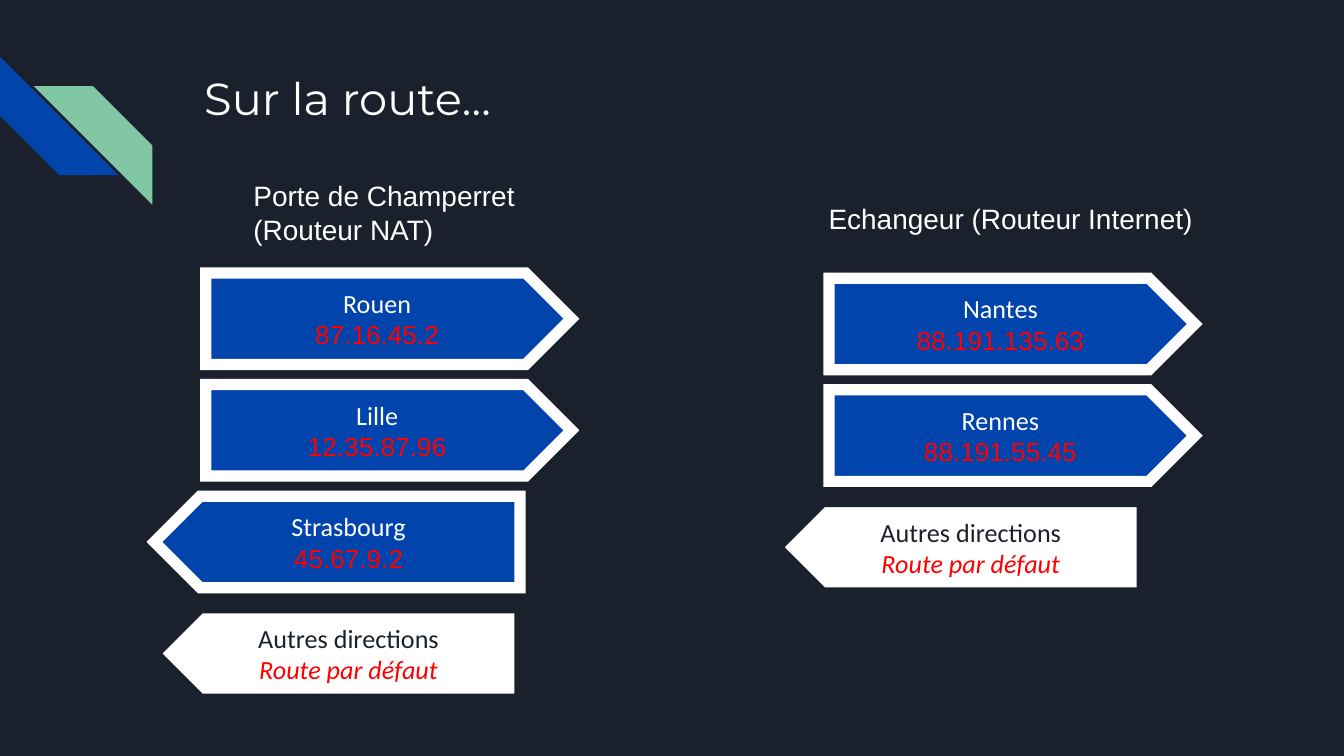
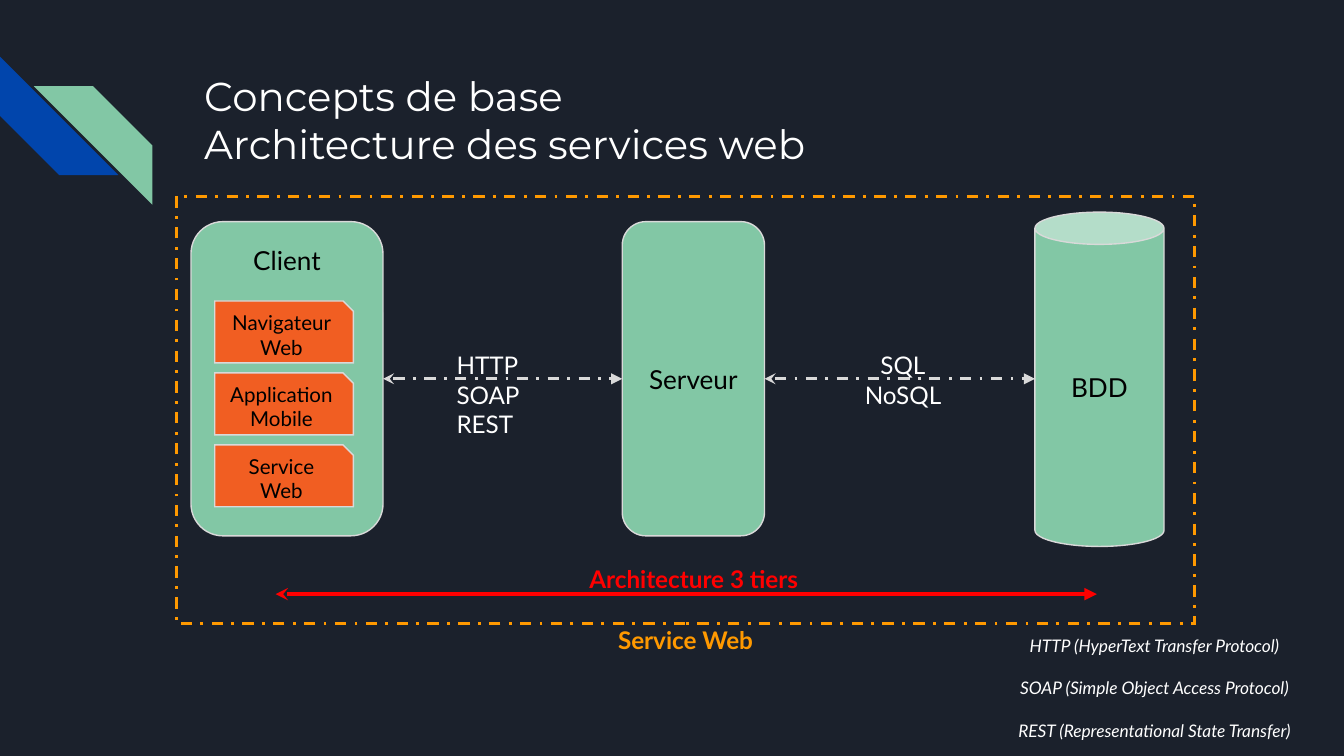
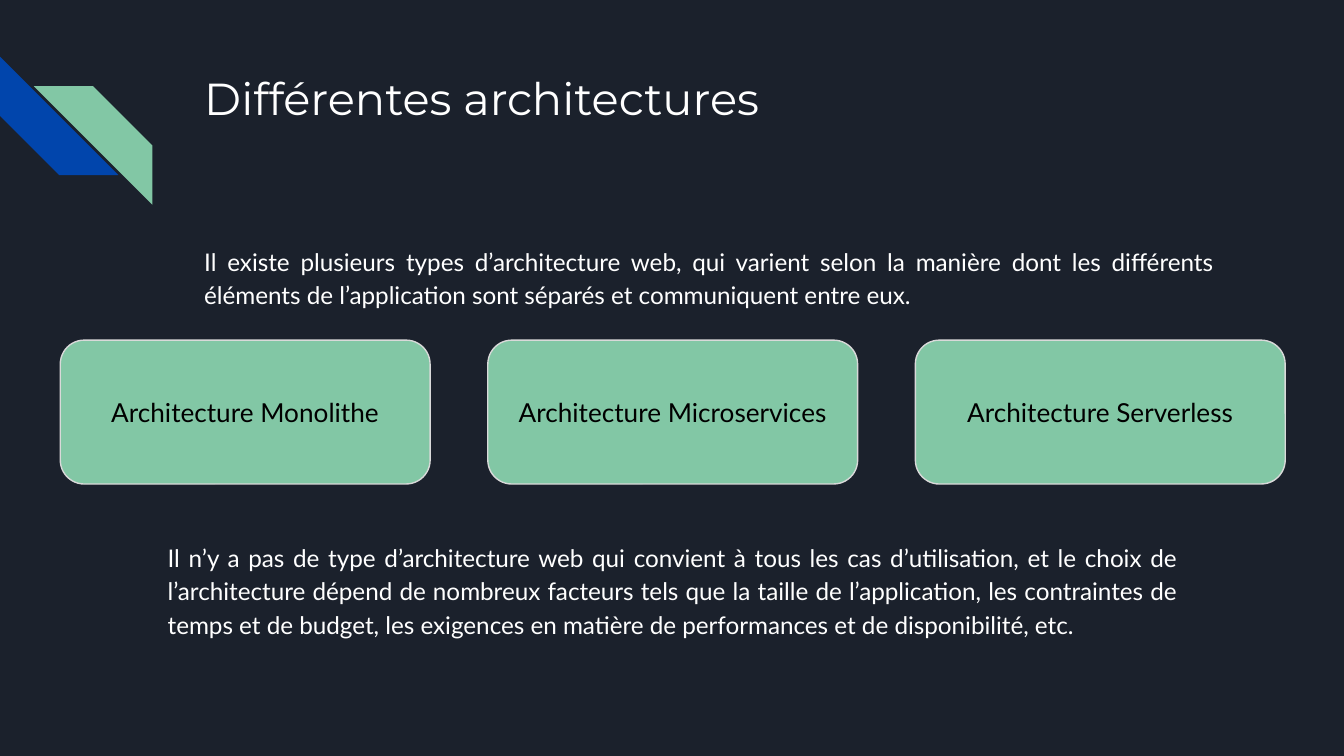
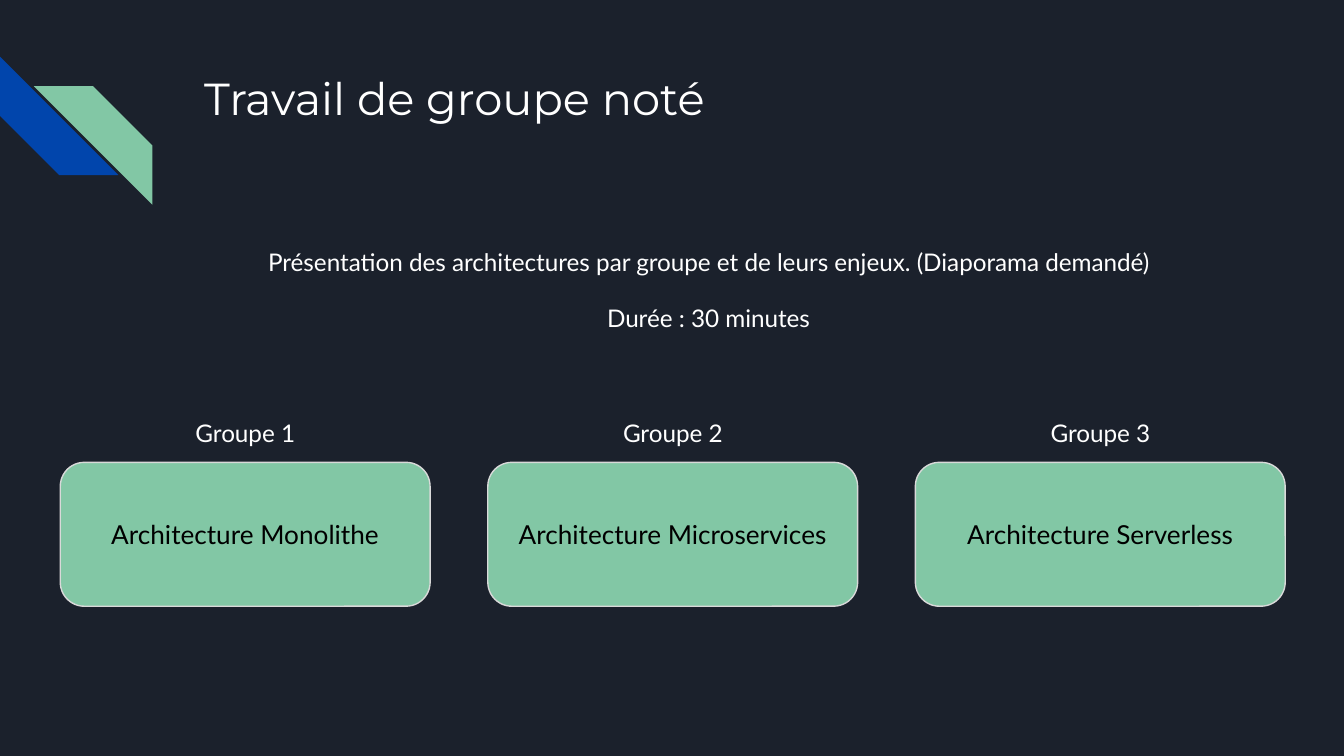
"""Build four slides on web routing and web architecture."""
from dataclasses import dataclass, field
from typing import Any, NamedTuple

from lxml import etree
from pptx import Presentation
from pptx.dml.color import RGBColor
from pptx.enum.dml import MSO_LINE
from pptx.enum.shapes import MSO_CONNECTOR, MSO_SHAPE
from pptx.enum.text import MSO_ANCHOR, MSO_AUTO_SIZE, PP_ALIGN
from pptx.oxml.ns import qn
from pptx.util import Cm, Pt

STRIPE, PLATE = MSO_SHAPE.DIAGONAL_STRIPE, MSO_SHAPE.PENTAGON
ROUND, SNIP = MSO_SHAPE.ROUNDED_RECTANGLE, MSO_SHAPE.SNIP_1_RECTANGLE
RECT, CAN = MSO_SHAPE.RECTANGLE, MSO_SHAPE.CAN
STRAIGHT, DASH = MSO_CONNECTOR.STRAIGHT, MSO_LINE.DASH_DOT
TOP, MIDDLE = MSO_ANCHOR.TOP, MSO_ANCHOR.MIDDLE
LEFT, CENTER, FULL = PP_ALIGN.LEFT, PP_ALIGN.CENTER, PP_ALIGN.JUSTIFY
FIXED = MSO_AUTO_SIZE.NONE

HUES = {
    "night": "1B212C", "white": "FFFFFF", "black": "000000", "blue": "0145AC",
    "green": "82C7A5", "coral": "F15E22", "amber": "FF9900", "red": "FF0000",
    "grey": "D9D9D9",
}

HEAD = {"name": "Montserrat", "size": Pt(24)}
SMALL_HEAD = {"name": "Montserrat", "size": Pt(21.6)}
LABEL = {"name": "Lato", "size": Pt(14)}
PART = {"name": "Lato", "size": Pt(11)}
PLAIN = {"name": "Lato", "size": Pt(13)}
STRONG = {**PLAIN, "bold": True}
NOTE = {"name": "Lato", "size": Pt(9.3), "italic": True}
TOWN = {"name": "Calibri", "size": Pt(14)}
ROUTE = {**TOWN, "italic": True}
HOST = {"name": "Arial", "size": Pt(14)}
PLACE = {"name": "Arial", "size": Pt(15)}

MID = {"alignment": CENTER}
FLUSH = {"alignment": LEFT}
LOOSE = {"line_spacing": 1.15}
BLOCK = {**LOOSE, "alignment": FULL}

WIDE = {"margin_left": Cm(0.25), "margin_right": Cm(0.25),
        "margin_top": Cm(0.25), "margin_bottom": Cm(0.25)}
TIGHT = {"margin_left": Cm(0.19), "margin_right": Cm(0.19),
         "margin_top": Cm(0.1), "margin_bottom": Cm(0.1)}

KINDS = ["Monolithe", "Microservices", "Serverless"]
CARD_LEFT, CARD_STEP, CARD_WIDE, CARD_HIGH = 1.14, 8.08, 6.99, 2.72
SIGN_STEP, SIGN_WIDE, SIGN_HIGH = 2.11, 6.91, 1.73


class Box(NamedTuple):
    """Place and size in centimetres."""
    left: float
    top: float
    width: float
    height: float


class Row(NamedTuple):
    """One paragraph with its font, colour and layout."""
    words: str
    font: dict
    ink: str = "white"
    para: dict = MID


class Edge(NamedTuple):
    """An outline or line style."""
    ink: str
    width: float
    dash: Any = None


@dataclass(frozen=True)
class Form:
    """A preset shape with its look and text."""
    kind: Any
    box: Box
    fill: str | None = None
    edge: Edge | None = None
    rows: list[Row] = field(default_factory=list)
    anchor: Any = MIDDLE
    pads: dict = field(default_factory=lambda: WIDE)
    flip: bool = False
    turn: float = 0


class Sign(NamedTuple):
    """A road sign: a town and its address, or the default way."""
    town: str
    host: str | None = None
    back: bool = False


THIN = Edge("grey", 0.75)
BODY = Box(3.61, 4.34, 19.56, 2.54)


def hue(name: str) -> RGBColor:
    """Return a named colour."""
    return RGBColor.from_string(HUES[name])


def apply(item: Any, vals: dict) -> None:
    """Set each attribute in vals on item."""
    for name, val in vals.items():
        setattr(item, name, val)


def write(frame: Any, rows: list[Row], pads: dict, anchor: Any = TOP) -> None:
    """Fill a text frame with rows."""
    apply(frame, {**pads, "word_wrap": True, "auto_size": FIXED,
                  "vertical_anchor": anchor})
    for i, row in enumerate(rows):
        para = frame.add_paragraph() if i else frame.paragraphs[0]
        run = para.add_run()
        run.text = row.words
        apply(para, row.para)
        apply(run.font, row.font)
        run.font.color.rgb = hue(row.ink)


def trace(line: Any, edge: Edge) -> None:
    """Style an outline or a connector."""
    line.color.rgb = hue(edge.ink)
    line.width = Pt(edge.width)
    if edge.dash:
        line.dash_style = edge.dash


def draw(slide: Any, form: Form) -> Any:
    """Add a preset shape."""
    shape = slide.shapes.add_shape(form.kind, *map(Cm, form.box))
    shape.shadow.inherit = False
    shape.rotation = form.turn
    props = shape.element.spPr
    if form.flip:
        props.find(qn("a:xfrm")).set("flipH", "1")
    if form.fill:
        shape.fill.solid()
        shape.fill.fore_color.rgb = hue(form.fill)
    else:
        shape.fill.background()
    if form.edge:
        trace(shape.line, form.edge)
        etree.SubElement(props.find(qn("a:ln")), qn("a:miter"), lim="800000")
    else:
        shape.line.fill.background()
    if form.rows:
        write(shape.text_frame, form.rows, form.pads, form.anchor)
    return shape


def label(slide: Any, box: Box, rows: list[Row], pads: dict = WIDE) -> None:
    """Add a text box."""
    write(slide.shapes.add_textbox(*map(Cm, box)).text_frame, rows, pads)


def link(slide: Any, start: tuple, end: tuple, edge: Edge) -> Any:
    """Add a line with an arrowhead at both ends."""
    line = slide.shapes.add_connector(STRAIGHT, *map(Cm, start + end))
    trace(line.line, edge)
    props = line.element.spPr
    stroke = props.find(qn("a:ln"))
    etree.SubElement(stroke, qn("a:headEnd"), type="stealth")
    etree.SubElement(stroke, qn("a:tailEnd"), type="triangle")
    etree.SubElement(props, qn("a:effectLst"))
    return line


def start(deck: Any, lines: list[str], font: dict = HEAD) -> Any:
    """Add a slide with its title."""
    slide = deck.slides.add_slide(deck.slide_layouts[5])
    title = slide.shapes.title
    spot = Box(3.61, 1.09, 19.56, 2.54)
    apply(title, {name: Cm(val) for name, val in spot._asdict().items()})
    write(title.text_frame, [Row(x, font, para=FLUSH) for x in lines], WIDE)
    return slide


def brand(slide: Any) -> None:
    """Put the two corner stripes on the shared layout."""
    bands = [Form(STRIPE, Box(0, 1.07, 2.24, 2.24), "blue", turn=270),
             Form(STRIPE, Box(0.64, 1.63, 2.24, 2.24), "green", flip=True)]
    for band in bands:
        slide.slide_layout.shapes.element.append(draw(slide, band).element)


def signs(slide: Any, fore: float, back: float, top: float,
          items: list[Sign]) -> None:
    """Stack road signs that point right, or left when turned back."""
    for i, sign in enumerate(items):
        box = Box(back if sign.back else fore, top + i * SIGN_STEP,
                  SIGN_WIDE, SIGN_HIGH)
        if sign.host:
            fill, rim, ink = "blue", "white", "white"
            last = Row(sign.host, HOST, "red")
        else:
            fill, rim, ink = "white", "night", "night"
            last = Row("Route par défaut", ROUTE, "red")
        draw(slide, Form(PLATE, box, fill, Edge(rim, 6),
                         [Row(sign.town, TOWN, ink), last],
                         pads=TIGHT, flip=sign.back))


def cards(slide: Any, top: float, named: bool = False) -> None:
    """Draw the row of three architecture cards, with group names if asked."""
    for i, kind in enumerate(KINDS):
        left = CARD_LEFT + i * CARD_STEP
        draw(slide, Form(ROUND, Box(left, top, CARD_WIDE, CARD_HIGH), "green",
                         THIN, [Row(f"Architecture {kind}", LABEL, "black")]))
        if named:
            wide, high = 2.64, 1.09
            spot = Box(left + (CARD_WIDE - wide) / 2, top - high, wide, high)
            label(slide, spot, [Row(f"Groupe {i + 1}", PLAIN)])


def road(deck: Any) -> None:
    """Build the road sign slide."""
    slide = start(deck, ["Sur la route…"])
    brand(slide)
    other = Sign("Autres directions", back=True)
    signs(slide, 15.67, 14.68, 5.26, [
        Sign("Nantes", "88.191.135.63"), Sign("Rennes", "88.191.55.45"), other])
    signs(slide, 3.89, 2.92, 5.16, [
        Sign("Rouen", "87.16.45.2"), Sign("Lille", "12.35.87.96"),
        Sign("Strasbourg", "45.67.9.2", True), other])
    for box, words in [
            (Box(4.6, 3.28, 5.46, 1.47), "Porte de Champerret (Routeur NAT)"),
            (Box(15.47, 3.71, 7.4, 0.84), "Echangeur (Routeur Internet)")]:
        label(slide, box, [Row(words, PLACE, para=FLUSH)], TIGHT)


def tiers(deck: Any) -> None:
    """Build the three-tier diagram slide."""
    slide = start(deck, ["Concepts de base", "Architecture des services web"],
                  SMALL_HEAD)
    draw(slide, Form(RECT, Box(3.33, 3.71, 19.25, 8.08),
                     edge=Edge("amber", 1.5, DASH)))
    client = draw(slide, Form(ROUND, Box(3.61, 4.19, 3.63, 5.94), "green", THIN,
                              [Row("Client", LABEL, "black")], TOP))
    server = draw(slide, Form(ROUND, Box(11.76, 4.19, 2.69, 5.94), "green", THIN,
                              [Row("Serveur", LABEL, "black")]))
    draw(slide, Form(CAN, Box(19.56, 4.01, 2.44, 6.32), "green", THIN,
                     [Row("BDD", LABEL, "black")]))
    parts = [["Navigateur Web"], ["Application", "Mobile"], ["Service Web"]]
    for i, lines in enumerate(parts):
        draw(slide, Form(SNIP, Box(4.06, 5.69 + i * 1.36, 2.62, 1.17), "coral",
                         THIN, [Row(x, PART, "black") for x in lines]))

    dots, mid = Edge("grey", 1.5, DASH), 7.16
    call = link(slide, (7.24, mid), (11.76, mid), dots)
    call.begin_connect(client, 3)
    call.end_connect(server, 1)
    query = link(slide, (14.45, mid), (19.56, mid), dots)
    query.begin_connect(server, 3)
    link(slide, (5.21, 11.23), (20.73, 11.23), Edge("red", 2.25))

    label(slide, Box(8.38, 6.38, 1.8, 0.97),
          [Row(x, PLAIN, para=FLUSH) for x in ("HTTP", "SOAP", "REST")])
    label(slide, Box(16.05, 6.38, 2.03, 1.17),
          [Row(x, PLAIN) for x in ("SQL", "NoSQL")])
    label(slide, Box(9.91, 10.41, 6.4, 1.17),
          [Row("Architecture 3 tiers", STRONG, "red")])
    label(slide, Box(10.95, 11.56, 4.01, 1.17),
          [Row("Service Web", STRONG, "amber")])
    terms = ["HTTP (HyperText Transfer Protocol)",
             "SOAP (Simple Object Access Protocol)",
             "REST (Representational State Transfer)"]
    label(slide, Box(18.24, 11.79, 7.16, 2.49),
          [Row(x, NOTE, para={**MID, "line_spacing": 0.95,
                              "space_before": Pt(12 if i else 0)})
           for i, x in enumerate(terms)])


def types(deck: Any) -> None:
    """Build the slide on kinds of architecture."""
    slide = start(deck, ["Différentes architectures"])
    label(slide, BODY, [Row(
        "Il existe plusieurs types d’architecture web, qui varient selon la "
        "manière dont les différents éléments de l’application sont séparés "
        "et communiquent entre eux.", PLAIN, para=BLOCK)])
    cards(slide, 6.43)
    label(slide, BODY._replace(left=2.92, top=9.93), [Row(
        "Il n’y a pas de type d’architecture web qui convient à tous les cas "
        "d’utilisation, et le choix de l’architecture dépend de nombreux "
        "facteurs tels que la taille de l’application, les contraintes de "
        "temps et de budget, les exigences en matière de performances et de "
        "disponibilité, etc.", PLAIN, para=BLOCK)])


def task(deck: Any) -> None:
    """Build the group work slide."""
    slide = start(deck, ["Travail de groupe noté"])
    label(slide, BODY, [
        Row("Présentation des architectures par groupe et de leurs enjeux. "
            "(Diaporama demandé)", PLAIN, para={**MID, **LOOSE}),
        Row("Durée : 30 minutes", PLAIN,
            para={**MID, **LOOSE, "space_before": Pt(12)})])
    cards(slide, 8.74, named=True)


def main() -> None:
    """Build and save the deck."""
    deck = Presentation()
    apply(deck, {"slide_width": Cm(25.4), "slide_height": Cm(14.29)})
    back = deck.slide_master.background.fill
    back.solid()
    back.fore_color.rgb = hue("night")
    for build in (road, tiers, types, task):
        build(deck)
    deck.save("out.pptx")


if __name__ == "__main__":
    main()
